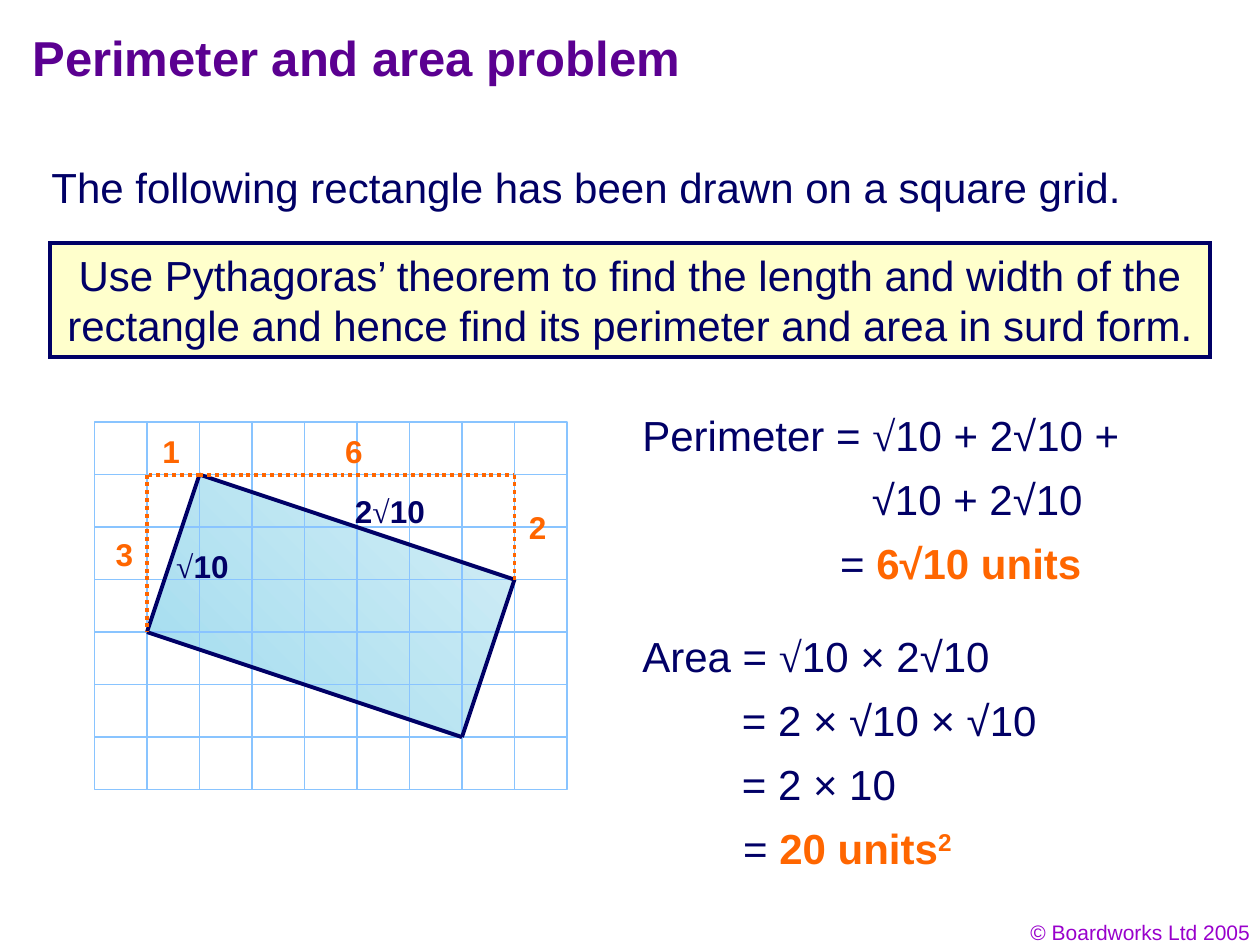
from lxml import etree
from pptx import Presentation
from pptx import util as u
from pptx.dml.color import RGBColor
from pptx.enum import dml, shapes, text
from pptx.oxml import ns

Pt = u.Pt
NAVY, INK, ORANGE = "000066", "010066", "FF6600"
ROOT = {"font": "Times New Roman"}
ANSWER = {"color": ORANGE, "bold": True}

prs = Presentation()
prs.slide_width, prs.slide_height = Pt(720), Pt(540)
s = prs.slides.add_slide(prs.slide_layouts[6])


def write(sp, runs, size=24, color=INK, bold=False):
    """Fill a shape with one paragraph; each run is (wording, differences from the defaults)."""
    tf = sp.text_frame
    tf.word_wrap = True
    p = tf.paragraphs[0]
    for wording, diff in runs:
        r = p.add_run()
        r.text = wording
        r.font.name = diff.get("font", "Arial")
        r.font.size = Pt(size)
        r.font.bold = diff.get("bold", bold)
        r.font.color.rgb = RGBColor.from_string(diff.get("color", color))
        if "baseline" in diff:
            r._r.get_or_add_rPr().set("baseline", diff["baseline"])
    return p


def line(start, end, color, dash=None):
    c = s.shapes.add_connector(shapes.MSO_CONNECTOR.STRAIGHT, *start, *end)
    c.line.color.rgb = RGBColor.from_string(color)
    c.line.width = Pt(2.25)
    if dash:
        c.line.dash_style = dash
    etree.SubElement(c._element.spPr, ns.qn("a:effectLst"))


# Heading, introduction and footer
box = s.shapes.add_textbox(Pt(11.5), Pt(11.5), Pt(612), Pt(42))
box.text_frame.vertical_anchor = text.MSO_ANCHOR.MIDDLE
write(box, [("Perimeter and area problem", {})], size=28, color="5B0091", bold=True)

box = s.shapes.add_textbox(Pt(22.3), Pt(88.6), Pt(680), Pt(36))
write(box, [("The following rectangle has been drawn on a square grid.", {})])

box = s.shapes.add_textbox(Pt(553.7), Pt(522), Pt(167.8), Pt(21.6))
p = write(box, [("© Boardworks Ltd 2005", {})], size=12, color="9900CC")
p.alignment = text.PP_ALIGN.RIGHT

# Task panel, with square corners
sp = s.shapes.add_shape(shapes.MSO_SHAPE.RECTANGLE, Pt(28.4), Pt(139), Pt(663.1), Pt(64.8))
sp.shadow.inherit = False
sp.fill.solid()
sp.fill.fore_color.rgb = RGBColor.from_string("FFFFCC")
sp.line.color.rgb = RGBColor.from_string(NAVY)
sp.line.width = Pt(2.25)
etree.SubElement(sp.line._get_or_add_ln(), ns.qn("a:miter"), lim="800000")
p = write(sp, [("Use Pythagoras’ theorem to find the length and width of the "
                "rectangle and hence find its perimeter and area in surd form.", {})])
p.alignment = text.PP_ALIGN.CENTER

# Square grid, with the tilted rectangle's corners on grid points
CELL, COLS, ROWS = 30, 9, 7
grid = [[(Pt(54 + CELL * col), Pt(241.2 + CELL * row)) for col in range(COLS + 1)]
        for row in range(ROWS + 1)]
corners = [grid[1][2], grid[3][8], grid[6][7], grid[4][1]]

fb = s.shapes.build_freeform(*corners[0], scale=1.0)
fb.add_line_segments(corners[1:], close=True)
sp = fb.convert_to_shape()
sp.shadow.inherit = False
sp.line.fill.background()
sp.fill.gradient()
sp.fill.gradient_angle = 225
for stop, color in zip(sp.fill.gradient_stops, ("D4EEF6", "A0DBEE")):
    stop.color.rgb = RGBColor.from_string(color)

for row in range(ROWS):
    for col in range(COLS):
        sp = s.shapes.add_shape(shapes.MSO_SHAPE.RECTANGLE, *grid[row][col], Pt(CELL), Pt(CELL))
        sp.shadow.inherit = False
        sp.fill.background()
        sp.line.color.rgb = RGBColor.from_string("89C4FF")
        sp.line.width = Pt(0.75)

for start, end in zip(corners, corners[1:] + corners[:1]):
    line(start, end, NAVY)

# Legs of the two right-angled triangles
legs = [(grid[1][2], grid[1][1]), (grid[1][1], grid[4][1]),
        (grid[1][2], grid[1][8]), (grid[1][8], grid[3][8])]
for start, end in legs:
    line(start, end, ORANGE, dml.MSO_LINE.ROUND_DOT)

# Side lengths, in boxes wide enough to stay on one line
labels = [
    (85.7, 243.4, 28, ORANGE, [("1", {})]),
    (59, 302.4, 28, ORANGE, [("3", {})]),
    (190.1, 243.4, 28, ORANGE, [("6", {})]),
    (295.2, 286.6, 28, ORANGE, [("2", {})]),
    (93.6, 308.9, 54, INK, [("√", ROOT), ("10", {})]),
    (195.8, 277.9, 64, INK, [("2", {}), ("√", ROOT), ("10", {})]),
]
for x, y, w, color, runs in labels:
    box = s.shapes.add_textbox(Pt(x), Pt(y), Pt(w), Pt(28.8))
    write(box, runs, size=18, color=color, bold=True)

# Working: lines of each calculation at an equal step
STEP = 36.5
perimeter = [
    (360, 300, [("Perimeter = ", {}), ("√", ROOT), ("10 + 2√10 +", {})]),
    (491.2, 160, [("√10 + 2√10", {})]),
    (473, 164, [("= ", {}), ("6√10 units", ANSWER)]),
]
area = [
    (360, 230, [("Area = ", {}), ("√", ROOT), ("10 × 2√10", {})]),
    (416.9, 200, [("= 2 × √10 × √10", {})]),
    (416.9, 200, [("= 2 × 10", {})]),
    (417.6, 200, [("= ", {}), ("20 units", ANSWER), ("2", {**ANSWER, "baseline": "30000"})]),
]
for top, rows in ((230.4, perimeter), (357, area)):
    for i, (x, w, runs) in enumerate(rows):
        box = s.shapes.add_textbox(Pt(x), Pt(top + STEP * i), Pt(w), Pt(36))
        write(box, runs)

prs.save("out.pptx")
